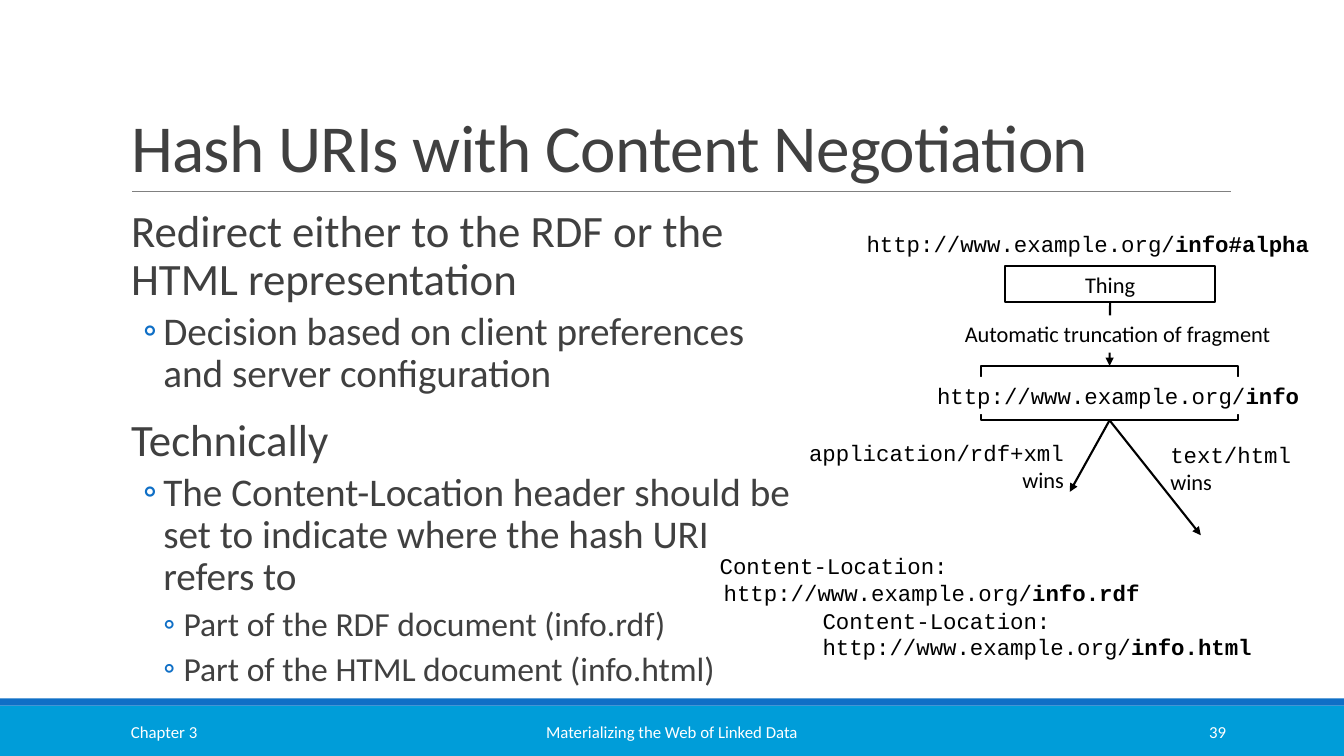
"""Build the slide on hash URIs with content negotiation."""
from lxml.etree import SubElement
from pptx import Presentation
from pptx.dml.color import RGBColor
from pptx.enum.shapes import MSO_CONNECTOR as Link, MSO_SHAPE as Preset
from pptx.enum.text import MSO_ANCHOR as Anchor, MSO_AUTO_SIZE as Fit, PP_ALIGN as Align
from pptx.oxml.ns import qn
from pptx.util import Inches, Pt

COLORS = {"bar": "009DD9", "accent": "0F6FC6", "rule": "808080", "heading": "404040",
          "ink": "000000", "paper": "FFFFFF"}
SANS, MONO = "Calibri", "Courier New"
CELL = 0.1
SITE = "http://www.example.org/"
LEVELS = [
    {"size": 32, "margin": 0.1, "hang": 0.1, "bullet": " ", "before": 12, "after": 2},
    {"size": 28, "margin": 0.42, "hang": 0.2, "bullet": "◦", "before": 2, "after": 4},
    {"size": 24, "margin": 0.62, "hang": 0.2, "bullet": "◦", "before": 2, "after": 4},
]


class SlideBuilder:
    """Holds the style and the current slide; lengths are cells of a tenth of an inch."""

    def __init__(self, deck):
        self.slide = deck.slides.add_slide(deck.slide_layouts[1])
        self.shapes = self.slide.shapes

    def cells(self, *counts):
        return [Inches(count * CELL) for count in counts]

    def apply(self, target, values):
        for name, value in values.items():
            setattr(target, name, value)

    def color(self, name):
        return RGBColor.from_string(COLORS[name])

    def place(self, shape, area):
        self.apply(shape, dict(zip(("left", "top", "width", "height"), self.cells(*area))))

    def add_runs(self, paragraph, parts, size, color="ink"):
        for words, face, bold in parts:
            run = paragraph.add_run()
            run.text = words
            self.apply(run.font, {"name": face, "size": Pt(size), "bold": bold})
            run.font.color.rgb = self.color(color)

    def fill_text(self, shape, lines, size=16, color="ink", anchor=Anchor.TOP):
        frame = shape.text_frame
        self.apply(frame, {"word_wrap": True, "vertical_anchor": anchor})
        for number, (align, parts) in enumerate(lines):
            paragraph = frame.add_paragraph() if number else frame.paragraphs[0]
            paragraph.alignment = align
            self.add_runs(paragraph, parts, size, color)

    def title(self, area, words):
        heading = self.shapes.title
        self.place(heading, area)
        self.fill_text(heading, [(Align.LEFT, [(words, SANS, False)])], 48, "heading", Anchor.BOTTOM)
        heading.text_frame.auto_size = Fit.NONE
        paragraph = heading.text_frame.paragraphs[0]
        paragraph.line_spacing = 0.85
        paragraph.runs[0]._r.get_or_add_rPr().set("spc", "-50")

    def body(self, area, points):
        outline = self.slide.placeholders[1]
        self.place(outline, area)
        frame = outline.text_frame
        self.apply(frame, {"margin_left": 0, "margin_right": 0, "word_wrap": True,
                           "auto_size": Fit.NONE, "vertical_anchor": Anchor.TOP})
        for number, (level, words) in enumerate(points):
            paragraph = frame.add_paragraph() if number else frame.paragraphs[0]
            style = LEVELS[level]
            props = paragraph._p.get_or_add_pPr()
            props.set("marL", str(Inches(style["margin"])))
            props.set("indent", str(-Inches(style["hang"])))
            tint = SubElement(props, qn("a:buClr"))
            SubElement(tint, qn("a:srgbClr"), val=COLORS["accent"])
            SubElement(props, qn("a:buFont"), typeface=SANS)
            SubElement(props, qn("a:buChar"), char=style["bullet"])
            self.apply(paragraph, {"level": level, "line_spacing": 0.9,
                                   "space_before": Pt(style["before"] if number else 0),
                                   "space_after": Pt(style["after"])})
            self.add_runs(paragraph, [(words, SANS, False)], style["size"], "heading")

    def label(self, area, lines, **style):
        self.fill_text(self.shapes.add_textbox(*self.cells(*area)), lines, **style)

    def box(self, area, fill=None, line=None):
        shape = self.shapes.add_shape(Preset.RECTANGLE, *self.cells(*area))
        shape.shadow.inherit = False
        if fill:
            shape.fill.solid()
            shape.fill.fore_color.rgb = self.color(fill)
        else:
            shape.fill.background()
        if line:
            shape.line.color.rgb = self.color(line)
            shape.line.width = Pt(1.25)
        else:
            shape.line.fill.background()
        return shape

    def connector(self, ends, color="ink", width=1.5, source=None, target=None, arrow=True):
        link = self.shapes.add_connector(Link.STRAIGHT, *self.cells(*ends))
        link.line.color.rgb = self.color(color)
        link.line.width = Pt(width)
        if arrow:
            SubElement(link.line._get_or_add_ln(), qn("a:tailEnd"), type="triangle")
        SubElement(link._element.spPr, qn("a:effectLst"))
        if source:
            link.begin_connect(source, 2)
        if target:
            link.end_connect(target, 0)


def main():
    deck = Presentation()
    deck.slide_width, deck.slide_height = Inches(13.33), Inches(7.5)
    page = SlideBuilder(deck)

    page.box((0, 70, 133.3, 5), fill="bar")
    page.box((0, 69.3, 133.3, 0.7), fill="accent")
    page.connector((13.1, 19, 122.1, 19), "rule", 0.5, arrow=False)
    page.title((12, 3.1, 110, 15.9), "Hash URIs with Content Negotiation")
    page.body((12, 20.2, 67.2, 47.6), [
        (0, "Redirect either to the RDF or the HTML representation"),
        (1, "Decision based on client preferences and server configuration"),
        (0, "Technically"),
        (1, "The Content-Location header should be set to indicate where the hash URI refers to"),
        (2, "Part of the RDF document (info.rdf)"),
        (2, "Part of the HTML document (info.html)"),
    ])
    for left, width, align, words in (
            (12, 27, Align.LEFT, "Chapter 3"),
            (40.3, 52.7, Align.CENTER, "Materializing the Web of Linked Data"),
            (108.3, 14.3, Align.RIGHT, "39")):
        page.label((left, 70.6, width, 4), [(align, [(words, SANS, False)])],
                   size=12, color="paper", anchor=Anchor.MIDDLE)

    def address(ending):
        return [(SITE, MONO, False), (ending, MONO, True)]

    page.label((84.6, 22.3, 46.6, 3.7), [(Align.CENTER, address("info#alpha"))])
    thing = page.box((99.7, 26.4, 20.8, 3.6), line="ink")
    page.fill_text(thing, [(Align.CENTER, [("Thing", SANS, False)])], anchor=Anchor.MIDDLE)
    document = page.box((97.3, 36.3, 25.5, 5.4), line="ink")
    page.connector((110.1, 30, 110.1, 36.3), source=thing, target=document)
    for tip in ((106.1, 48.8), (119.1, 53.1)):
        page.connector((110.1, 41.7, *tip), source=document)

    for area, align, media_type in (
            ((77.7, 43.1, 28.8, 6.4), Align.RIGHT, "application/rdf+xml "),
            ((115.1, 43.3, 15.6, 6.4), Align.LEFT, "text/html ")):
        page.label(area, [(align, [(media_type, MONO, False), ("wins", SANS, False)])])
    for area, align, ending in (
            ((80.6, 59.7, 45.5, 6.4), Align.LEFT, "info.html"),
            ((70.4, 54.3, 44, 6.4), Align.CENTER, "info.rdf")):
        page.label(area, [(Align.LEFT, [("Content-Location:", MONO, False)]),
                          (align, address(ending))])
    for area, parts in (
            ((90.2, 31.3, 41.3, 3.7), [("Automatic truncation of fragment", SANS, False)]),
            ((88.6, 37.4, 44.6, 3.7), address("info"))):
        page.fill_text(page.box(area, fill="paper"), [(Align.CENTER, parts)])

    deck.save("out.pptx")


if __name__ == "__main__":
    main()
